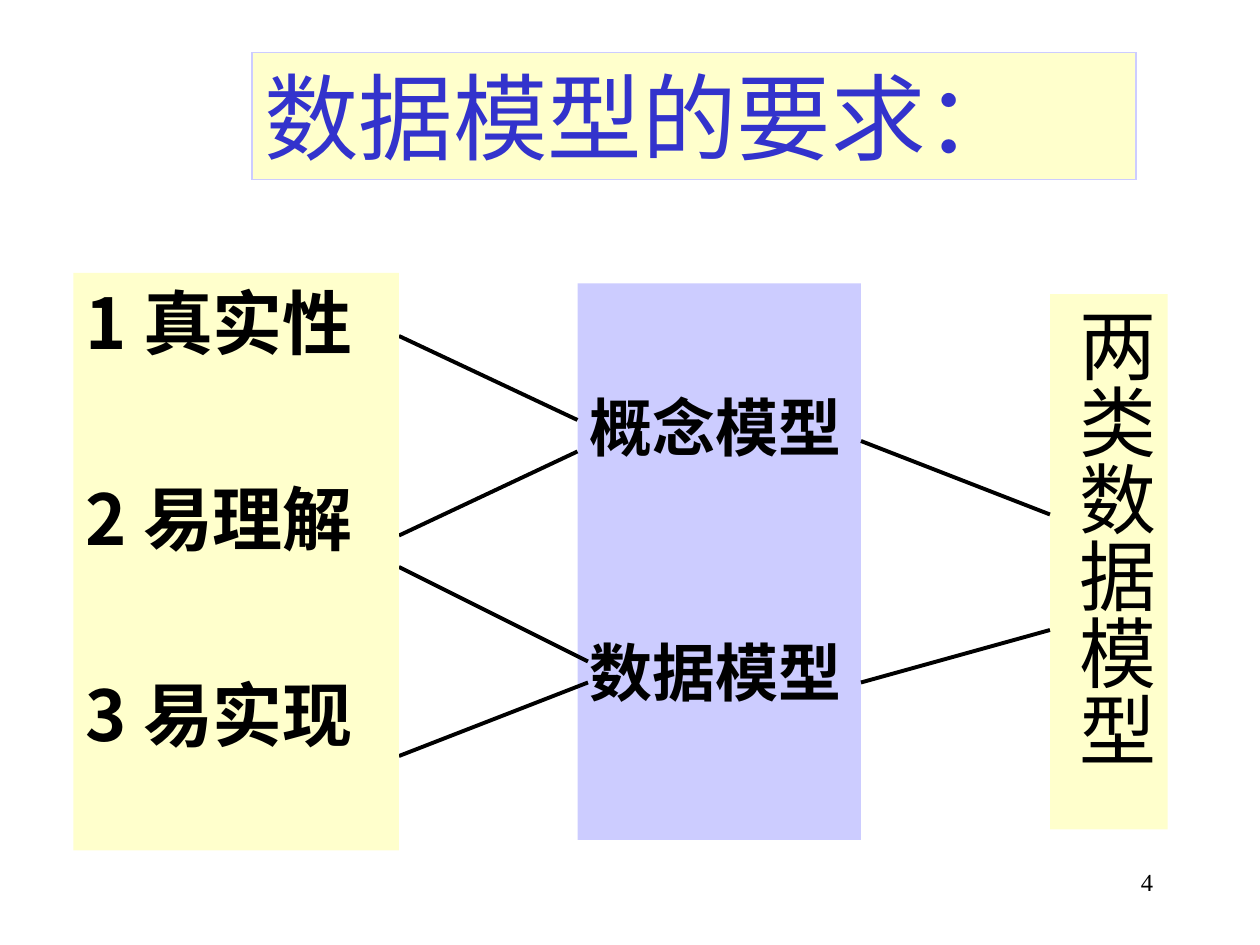
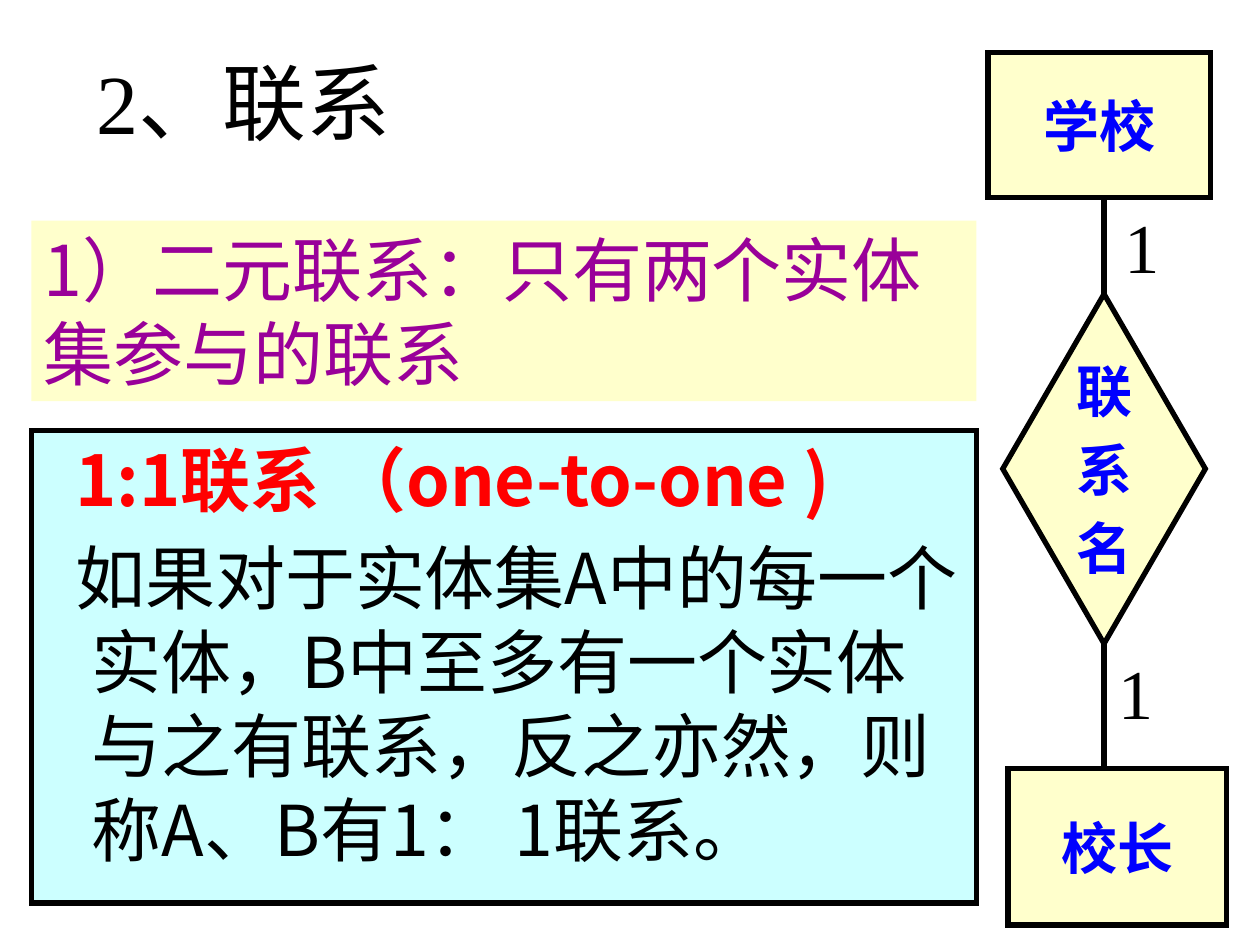
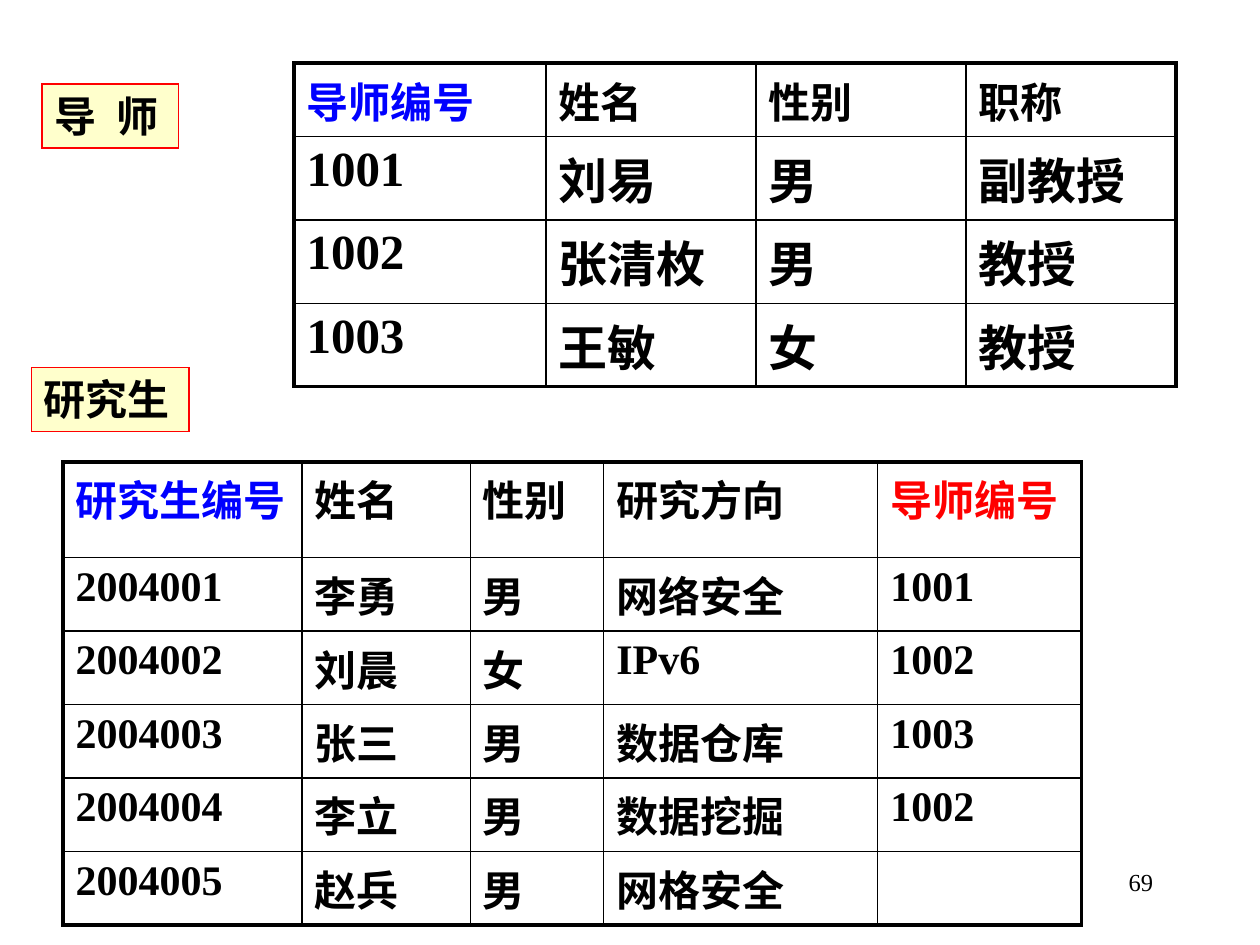
from dataclasses import dataclass

from lxml import etree
from pptx import Presentation, util as u
from pptx.dml import color
from pptx.enum import shapes, text
from pptx.oxml import ns


@dataclass(frozen=True)
class Theme:
    black: str = "000000"
    cream: str = "FFFFCC"
    lavender: str = "CCCCFF"
    cyan: str = "CCFFFF"
    indigo: str = "3333CC"
    blue: str = "0000FF"
    red: str = "FF0000"
    purple: str = "990099"
    serif: str = "Times New Roman"
    sans: str = "Noto Sans CJK SC"
    sans_list: str = "Noto Sans CJK JP"
    banner: int = 54
    title: int = 48
    vertical: int = 44
    body: int = 40
    model: int = 36
    entity: int = 32
    data: int = 28
    caption: int = 24
    page: int = 14
    frame: float = 3
    link: float = 2.25
    hairline: float = 0.75
    outer_border: float = 2.25
    inner_border: float = 1


THEME = Theme()
COLUMNS, ROWS = 120, 90
WIDTH, HEIGHT = u.Inches(10), u.Inches(7.5)
RECTANGLE = shapes.MSO_SHAPE.RECTANGLE
DIAMOND = shapes.MSO_SHAPE.DIAMOND
MIDDLE = text.MSO_ANCHOR.MIDDLE
CENTER = text.PP_ALIGN.CENTER
RIGHT = text.PP_ALIGN.RIGHT


def across(columns):
    return round(WIDTH * columns / COLUMNS)


def down(rows):
    return round(HEIGHT * rows / ROWS)


def place(box):
    left, top, width, height = box
    return across(left), down(top), across(width), down(height)


def rgb(value):
    return color.RGBColor.from_string(value)


def apply(target, values):
    for name, value in values.items():
        setattr(target, name, value)


def write(paragraph, content, size, ink=THEME.black, font=THEME.serif, bold=False):
    run = paragraph.add_run()
    run.text = content
    apply(run.font, {"size": u.Pt(size), "name": font, "bold": bold})
    run.font.color.rgb = rgb(ink)
    east_asian = THEME.sans if font == THEME.serif else font
    latin = run.font._element.find(ns.qn("a:latin"))
    latin.addnext(etree.Element(ns.qn("a:ea"), typeface=east_asian))


def fill_text(shape, lines, size, gap=0, inset=0, anchor=text.MSO_ANCHOR.TOP,
              align=text.PP_ALIGN.LEFT, wrap=True, **style):
    frame = shape.text_frame
    apply(frame, {
        "word_wrap": wrap, "vertical_anchor": anchor,
        "margin_left": u.Inches(0.1), "margin_right": u.Inches(0.1),
        "margin_top": u.Inches(0.05) + down(inset),
        "margin_bottom": u.Inches(0.05),
    })
    for index, line in enumerate(lines):
        paragraph = frame.add_paragraph() if index else frame.paragraphs[0]
        apply(paragraph, {"alignment": align, "space_before": u.Pt(gap if index else 0)})
        write(paragraph, line, size, **style)


def add_text(slide, box, lines, size, **style):
    shape = slide.shapes.add_textbox(*place(box))
    fill_text(shape, lines, size, **style)
    return shape


def add_panel(slide, box, lines, size, fill=THEME.cream, outline=None,
              weight=THEME.frame, kind=RECTANGLE, **style):
    shape = slide.shapes.add_shape(kind, *place(box))
    shape.shadow.inherit = False
    shape.fill.solid()
    shape.fill.fore_color.rgb = rgb(fill)
    if outline:
        shape.line.color.rgb = rgb(outline)
        shape.line.width = u.Pt(weight)
        etree.SubElement(shape._element.spPr.find(ns.qn("a:ln")),
                         ns.qn("a:miter"), lim="800000")
    else:
        shape.line.fill.background()
    fill_text(shape, lines, size, **style)
    return shape


def add_entity(slide, box, lines, kind=RECTANGLE):
    add_panel(slide, box, lines, THEME.entity, outline=THEME.black, kind=kind,
              gap=6.4, anchor=MIDDLE, align=CENTER, wrap=False,
              ink=THEME.blue, bold=True)


def add_caption(slide, box, content):
    return add_panel(slide, box, [content], THEME.caption, outline=THEME.red,
                     weight=THEME.hairline, bold=True)


def add_link(slide, start, end, weight=THEME.link):
    connector = slide.shapes.add_connector(
        shapes.MSO_CONNECTOR.STRAIGHT,
        across(start[0]), down(start[1]), across(end[0]), down(end[1]))
    connector.line.color.rgb = rgb(THEME.black)
    connector.line.width = u.Pt(weight)
    etree.SubElement(connector._element.spPr, ns.qn("a:effectLst"))


def add_page_number(slide, number):
    add_text(slide, (86, 82, 25, 6), [str(number)], THEME.page, align=RIGHT)


def set_borders(cell, weights):
    properties = cell._tc.get_or_add_tcPr()
    for index, (side, weight) in enumerate(weights.items()):
        border = etree.Element(ns.qn("a:" + side), w=str(u.Pt(weight)))
        solid = etree.SubElement(border, ns.qn("a:solidFill"))
        etree.SubElement(solid, ns.qn("a:srgbClr"), val=THEME.black)
        properties.insert(index, border)


def add_grid_table(slide, corner, widths, heights, records, data_size, header_inks):
    box = (*corner, sum(widths), sum(heights))
    table = slide.shapes.add_table(len(heights), len(widths), *place(box)).table
    apply(table, {"first_row": False, "horz_banding": False})
    for column, width in zip(table.columns, widths):
        column.width = across(width)
    for row, height in zip(table.rows, heights):
        row.height = down(height)
    outer, inner = THEME.outer_border, THEME.inner_border
    for row, record in enumerate(records):
        for column, content in enumerate(record):
            cell = table.cell(row, column)
            cell.fill.background()
            set_borders(cell, {
                "lnL": inner if column else outer,
                "lnR": inner if column < len(widths) - 1 else outer,
                "lnT": inner if row else outer,
                "lnB": inner if row < len(heights) - 1 else outer,
            })
            ink = THEME.black if row else header_inks.get(column, THEME.black)
            if content:
                write(cell.text_frame.paragraphs[0], content,
                      data_size if row else THEME.caption, ink, bold=True)


def build_requirements(slide):
    add_page_number(slide, 4)
    add_panel(slide, (55, 27, 27, 53), ["概念模型", "数据模型"], THEME.model,
              fill=THEME.lavender, gap=97, inset=9.4, font=THEME.sans, bold=True)
    kinds = add_panel(slide, (100, 28, 11.2, 51), ["两类数据模型"], THEME.vertical)
    kinds.text_frame._txBody.bodyPr.set("vert", "eaVert")
    for start, end in (
        ((38, 32), (55, 40)), ((38, 51), (55, 43)),
        ((38, 54), (56, 63)), ((38, 72), (56, 65)),
        ((82, 42), (100, 49)), ((82, 65), (100, 60)),
    ):
        add_link(slide, start, end)
    add_panel(slide, (24, 5, 84.2, 12.1), ["数据模型的要求："], THEME.banner,
              outline=THEME.lavender, weight=THEME.hairline, ink=THEME.indigo)
    add_panel(slide, (7, 26, 31, 55), ["1 真实性", "2 易理解", "3 易实现"], THEME.body,
              gap=64, font=THEME.sans_list, bold=True)


def build_relationship(slide):
    add_text(slide, (8, 4.2, 43, 10.8), ["2、联系"], THEME.title, anchor=MIDDLE)
    definition = add_panel(
        slide, (3, 41, 90, 45),
        ["1:1联系 （one-to-one )",
         "如果对于实体集A中的每一个实体，B中至多有一个实体与之有联系，"
         "反之亦然，则称A、B有1： 1联系。"],
        THEME.body, fill=THEME.cyan, outline=THEME.black, gap=8, font=THEME.sans)
    for paragraph in definition.text_frame.paragraphs:
        properties = paragraph._p.get_or_add_pPr()
        properties.set("marL", str(u.Inches(0.38)))
        properties.set("indent", str(u.Inches(-0.13)))
    heading = definition.text_frame.paragraphs[0].runs[0].font
    heading.bold = True
    heading.color.rgb = rgb(THEME.red)
    add_entity(slide, (94.1, 5, 21.2, 13.8), ["学校"])
    add_entity(slide, (96, 73.2, 20.8, 14.9), ["校长"])
    add_entity(slide, (95.5, 28, 19.3, 33.3), ["联", "系", "名"], DIAMOND)
    axis = 105.15
    for top, bottom, label_left in ((18.8, 28, 105.85), (61.3, 73.2, 105.25)):
        add_link(slide, (axis, top), (axis, bottom), THEME.frame)
        add_text(slide, (label_left, top, 5.8, 9.2), ["1"], THEME.body,
                 align=CENTER, wrap=False)
    add_panel(slide, (3, 21, 90, 17.2), ["1）二元联系：只有两个实体集参与的联系"],
              THEME.body, ink=THEME.purple, font=THEME.sans)


def build_tables(slide):
    add_page_number(slide, 69)
    add_grid_table(
        slide, (28, 6), [24, 20, 20, 20], [7] + [7.95] * 3,
        [("导师编号", "姓名", "性别", "职称"),
         ("1001", "刘易", "男", "副教授"),
         ("1002", "张清枚", "男", "教授"),
         ("1003", "王敏", "女", "教授")],
        THEME.data, {0: THEME.blue})
    add_grid_table(
        slide, (6, 44), [22.75, 16.05, 12.7, 26.1, 19.4], [9.1] + [7] * 5,
        [("研究生编号", "姓名", "性别", "研究方向", "导师编号"),
         ("2004001", "李勇", "男", "网络安全", "1001"),
         ("2004002", "刘晨", "女", "IPv6", "1002"),
         ("2004003", "张三", "男", "数据仓库", "1003"),
         ("2004004", "李立", "男", "数据挖掘", "1002"),
         ("2004005", "赵兵", "男", "网格安全", "")],
        THEME.caption, {0: THEME.blue, 4: THEME.red})
    tutor = add_caption(slide, (4, 8, 13, 6.1), "导 师")
    tutor.text_frame.paragraphs[0].runs[0].font._element.set("spc", "300")
    add_caption(slide, (3, 35, 15, 6.1), "研究生")


def main():
    presentation = Presentation()
    apply(presentation, {"slide_width": WIDTH, "slide_height": HEIGHT})
    blank = presentation.slide_layouts[6]
    for build in (build_requirements, build_relationship, build_tables):
        build(presentation.slides.add_slide(blank))
    presentation.save("out.pptx")


if __name__ == "__main__":
    main()
